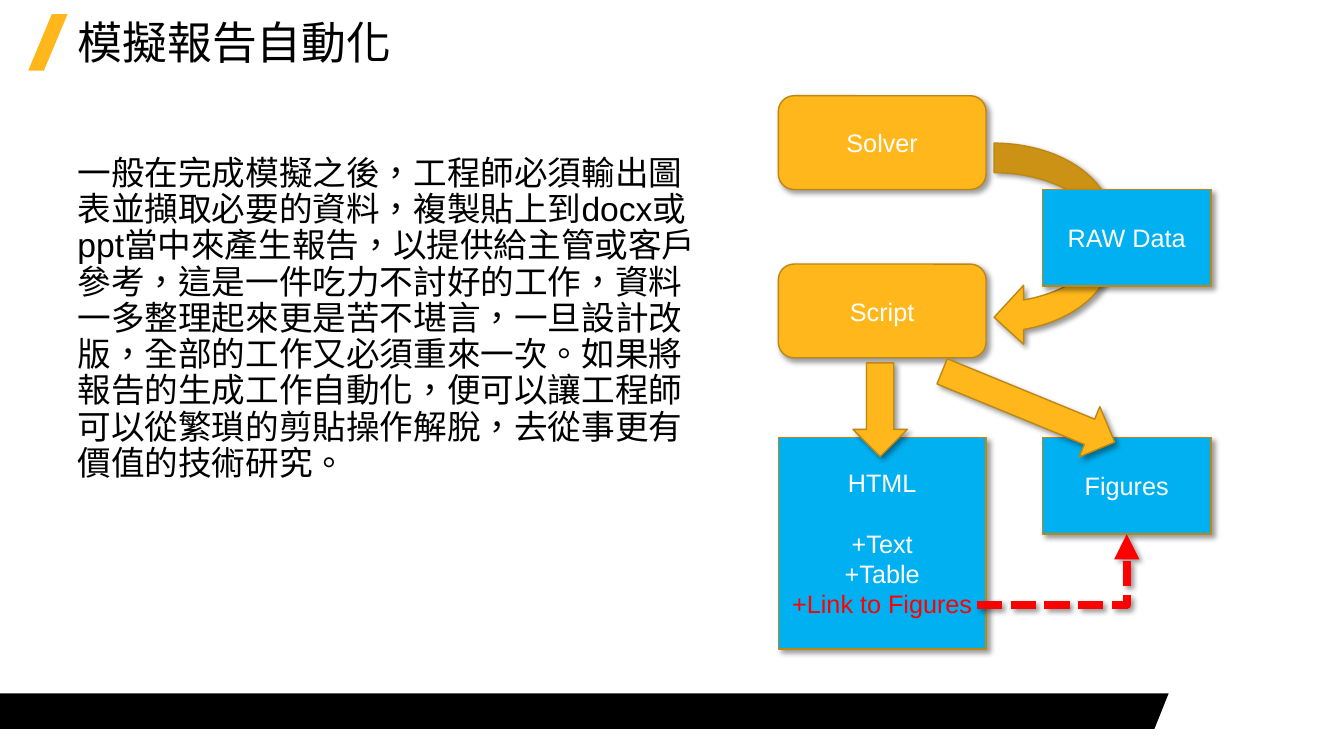
import dataclasses

import pptx
import pptx.dml.color
import pptx.enum.dml
import pptx.enum.shapes
import pptx.enum.text
import pptx.oxml
import pptx.oxml.ns
import pptx.util
from pptx.util import Inches

RGBColor = pptx.dml.color.RGBColor
Preset = pptx.enum.shapes.MSO_SHAPE
Alignment = pptx.enum.text.PP_ALIGN
Anchor = pptx.enum.text.MSO_ANCHOR

BLACK = RGBColor(0x00, 0x00, 0x00)
WHITE = RGBColor(0xFF, 0xFF, 0xFF)
AMBER = RGBColor(0xFF, 0xB7, 0x1B)
BROWN = RGBColor(0xBD, 0x87, 0x14)
BLUE = RGBColor(0x00, 0xB0, 0xF0)
RED = RGBColor(0xFF, 0x00, 0x00)

FONT = "Arial"
LEFT_COLUMN, RIGHT_COLUMN = 7.72, 10.34
OUTPUT_ROW = 4.34
STEP_SIZE = (2.06, 0.93)
DATA_SIZE = (1.67, 0.96)

TITLE = "模擬報告自動化"
BODY = (
    "一般在完成模擬之後，工程師必須輸出圖表並擷取必要的資料，"
    "複製貼上到docx或ppt當中來產生報告，以提供給主管或客戶參考，"
    "這是一件吃力不討好的工作，資料一多整理起來更是苦不堪言，"
    "一旦設計改版，全部的工作又必須重來一次。"
    "如果將報告的生成工作自動化，便可以讓工程師可以從繁瑣的剪貼操作解脫，"
    "去從事更有價值的技術研究。"
)


@dataclasses.dataclass(frozen=True)
class Line:
    text: str
    color: RGBColor = WHITE
    space_before: float = 0


@dataclasses.dataclass(frozen=True)
class Block:
    preset: Preset
    position: tuple[float, float]
    size: tuple[float, float]
    fill: RGBColor = AMBER
    lines: tuple[Line, ...] = ()
    rotation: float = 0


FLOW_BLOCKS = (
    Block(Preset.ROUNDED_RECTANGLE, (LEFT_COLUMN, 0.95), STEP_SIZE, lines=(Line("Solver"),)),
    Block(Preset.ROUNDED_RECTANGLE, (LEFT_COLUMN, 2.62), STEP_SIZE, lines=(Line("Script"),)),
    Block(Preset.CURVED_LEFT_ARROW, (9.86, 1.42), (1.17, 2.02)),
    Block(Preset.RECTANGLE, (RIGHT_COLUMN, 1.88), DATA_SIZE, BLUE, (Line("RAW Data"),)),
    Block(
        Preset.RECTANGLE, (LEFT_COLUMN, OUTPUT_ROW), (2.06, 2.1), BLUE,
        (
            Line("HTML"),
            Line("+Text", space_before=21.5),
            Line("+Table"),
            Line("+Link to Figures", RED),
        ),
    ),
    Block(Preset.RECTANGLE, (RIGHT_COLUMN, OUTPUT_ROW), DATA_SIZE, BLUE, (Line("Figures"),)),
)
OUTPUT_ARROWS = (
    Block(Preset.DOWN_ARROW, (8.46, 3.6), (0.54, 0.93)),
    Block(Preset.DOWN_ARROW, (9.93, 3.11), (0.54, 1.85), rotation=292.3),
)


def add_run(paragraph, text: str, size: float, color: RGBColor, language: str = "en-US") -> None:
    run = paragraph.add_run()
    run.text = text
    run.font.name = FONT
    run.font.size = pptx.util.Pt(size)
    run.font.color.rgb = color
    run._r.get_or_add_rPr().set("lang", language)


def add_shadow(shape) -> None:
    """Give a shape or connector the soft shadow falling to its lower right."""
    shape._element.spPr.append(pptx.oxml.parse_xml(
        f'<a:effectLst {pptx.oxml.ns.nsdecls("a")}>'
        '<a:outerShdw blurRad="50800" dist="38100" dir="2700000" algn="tl" rotWithShape="0">'
        '<a:srgbClr val="000000"><a:alpha val="40000"/></a:srgbClr>'
        '</a:outerShdw></a:effectLst>'
    ))


def add_block(slide, block: Block) -> None:
    shape = slide.shapes.add_shape(block.preset, *map(Inches, block.position + block.size))
    shape.rotation = block.rotation
    shape.fill.solid()
    shape.fill.fore_color.rgb = block.fill
    shape.line.color.rgb = BROWN
    shape.line.width = pptx.util.Pt(1)
    add_shadow(shape)
    frame = shape.text_frame
    frame.vertical_anchor = Anchor.MIDDLE
    for index, line in enumerate(block.lines):
        paragraph = frame.add_paragraph() if index else frame.paragraphs[0]
        paragraph.alignment = Alignment.CENTER
        paragraph.space_before = pptx.util.Pt(line.space_before)
        add_run(paragraph, line.text, 18, line.color)


def paint_flat(shape, color: RGBColor) -> None:
    shape.shadow.inherit = False
    shape.fill.solid()
    shape.fill.fore_color.rgb = color
    shape.line.fill.background()


def add_decoration(slide) -> None:
    builder = slide.shapes.build_freeform(0, Inches(6.88))
    corners = ((11.59, 6.88), (11.45, 7.23), (0, 7.23))
    builder.add_line_segments([(Inches(x), Inches(y)) for x, y in corners], close=True)
    paint_flat(builder.convert_to_shape(), BLACK)
    slash = slide.shapes.add_shape(
        Preset.PARALLELOGRAM, Inches(0.28), Inches(0.14), Inches(0.39), Inches(0.56)
    )
    slash.adjustments[0] = 0.6
    paint_flat(slash, AMBER)


def write_text(shape, text: str, size: float, space_before: float) -> None:
    frame = shape.text_frame
    frame.word_wrap = True
    frame.vertical_anchor = Anchor.TOP
    paragraph = frame.paragraphs[0]
    paragraph.alignment = Alignment.LEFT
    paragraph.line_spacing = 0.9
    paragraph.space_before = pptx.util.Pt(space_before)
    add_run(paragraph, text, size, BLACK, "zh-TW")


def add_figure_link(slide) -> None:
    """Draw the dashed elbow arrow from the HTML link line to Figures."""
    link = slide.shapes.add_connector(
        pptx.enum.shapes.MSO_CONNECTOR.ELBOW,
        Inches(9.69), Inches(6), Inches(RIGHT_COLUMN + DATA_SIZE[0] / 2), Inches(5.3),
    )
    link._element.spPr.find(pptx.oxml.ns.qn("a:prstGeom")).set("prst", "bentConnector2")
    link.line.color.rgb = RED
    link.line.width = pptx.util.Pt(6)
    link.line.dash_style = pptx.enum.dml.MSO_LINE.SQUARE_DOT
    link.line._get_or_add_ln().append(pptx.oxml.parse_xml(
        f'<a:tailEnd {pptx.oxml.ns.nsdecls("a")} type="triangle"/>'
    ))
    add_shadow(link)


def main() -> None:
    presentation = pptx.Presentation()
    presentation.slide_width = Inches(13.33)
    presentation.slide_height = Inches(7.5)
    slide = presentation.slides.add_slide(presentation.slide_layouts.get_by_name("Title Only"))
    add_decoration(slide)

    title = slide.shapes.title
    title.left, title.top, title.width, title.height = map(Inches, (0.67, 0.16, 12, 0.93))
    write_text(title, TITLE, 32, 0)
    body = slide.shapes.add_textbox(*map(Inches, (0.67, 1.5, 6.5, 5.21)))
    write_text(body, BODY, 24, 10)

    for block in FLOW_BLOCKS:
        add_block(slide, block)
    add_figure_link(slide)
    for arrow in OUTPUT_ARROWS:
        add_block(slide, arrow)
    presentation.save("out.pptx")


if __name__ == "__main__":
    main()
